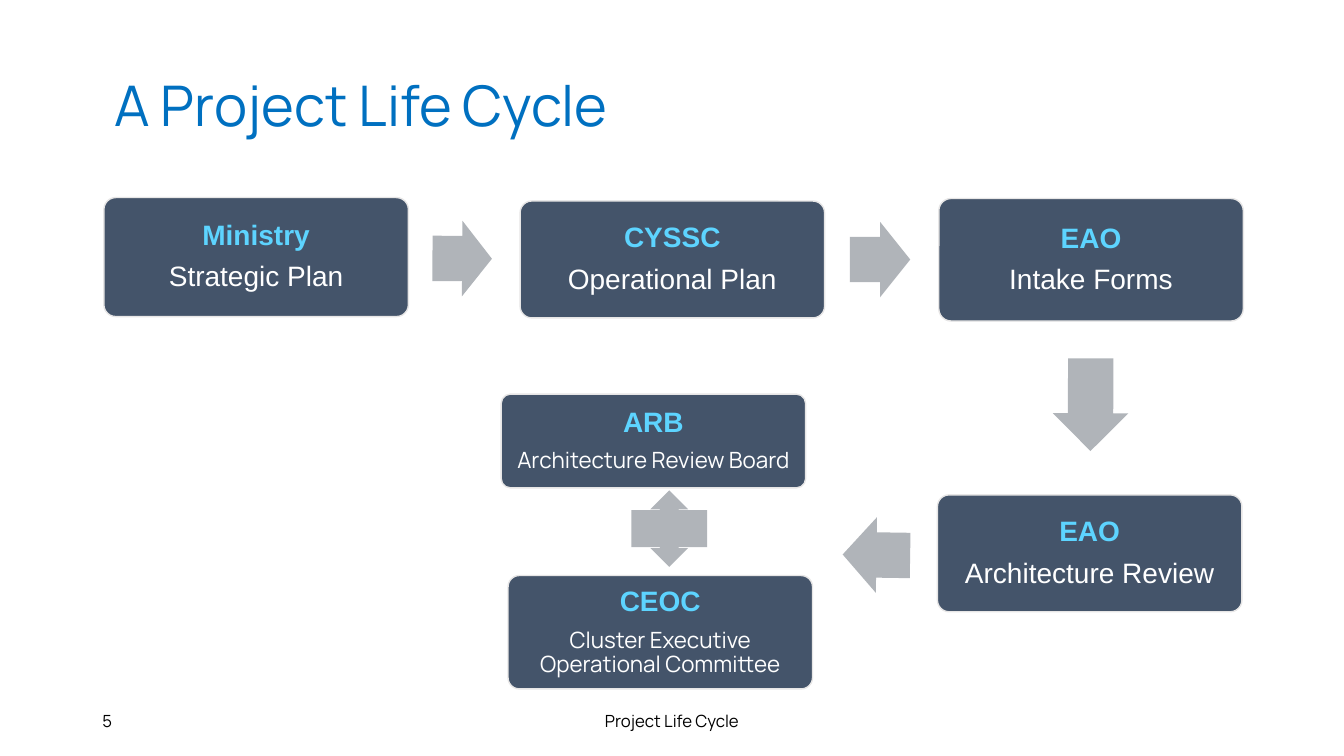
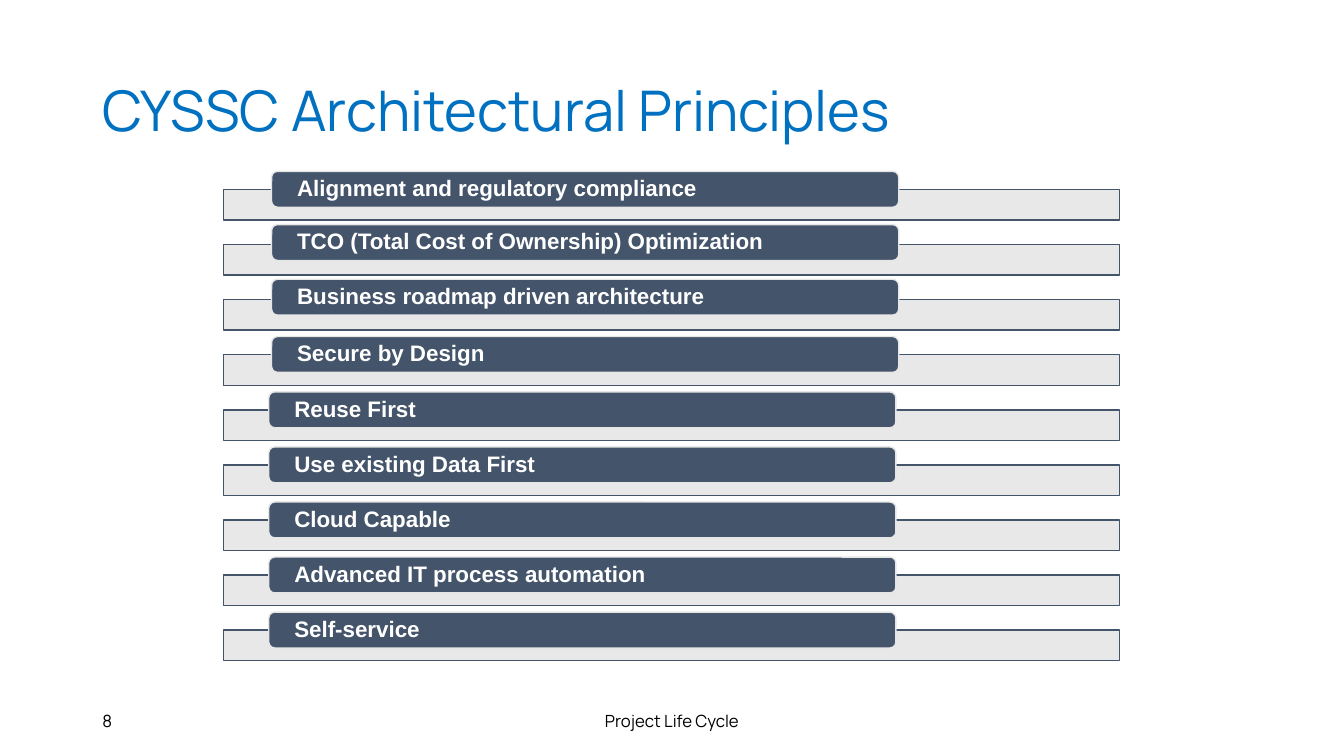
from lxml import etree
from pptx import Presentation
from pptx.dml.color import RGBColor
from pptx.enum import shapes, text
from pptx.oxml import ns
from pptx.util import Pt

# Shared style
BLUE = RGBColor(0x00, 0x70, 0xC0)
SKY = RGBColor(0x5D, 0xD4, 0xFF)
SLATE = RGBColor(0x44, 0x54, 0x6A)
PALE = RGBColor(0xE7, 0xE6, 0xE6)
GREY = RGBColor(0xB0, 0xB4, 0xB9)
WHITE = RGBColor(0xFF, 0xFF, 0xFF)
BLACK = RGBColor(0x00, 0x00, 0x00)
HEAD_FONT, BODY_FONT = "Manrope", "Arial"
SHAPE, ALIGN = shapes.MSO_SHAPE, text.PP_ALIGN

# Life cycle: left, top, height, heading, detail, detail font, detail size
BOX_WIDTH = 217.5
STAGES = [
    (74.2, 141.1, 85, "Ministry", "Strategic Plan", BODY_FONT, 20),
    (371.5, 143.6, 83.5, "CYSSC", "Operational Plan", BODY_FONT, 20),
    (670.6, 141.8, 87.5, "EAO", "Intake Forms", BODY_FONT, 20),
    (669.6, 353.5, 83.5, "EAO", "Architecture Review", BODY_FONT, 20),
    (362.9, 411.1, 81, "CEOC", "Cluster Executive Operational Committee", HEAD_FONT, 16),
    (358, 281.5, 67, "ARB", "Architecture Review Board", HEAD_FONT, 16),
]
# Left, top, width, rotation
ARROW_HEIGHT = 54
ARROWS = [
    (308.9, 157.7, 42.5, 0.4),
    (607, 158.4, 43.2, 0),
    (745.9, 262.1, 66.2, 90.2),
    (601.9, 369.4, 48.2, 180.9),
]

# Principles: label and its rise above the band
BAND_TOP, BAND_PITCH = 135.4, 39.33
PRINCIPLES = [
    ("Alignment and regulatory compliance", 13),
    ("TCO (Total Cost of Ownership) Optimization", 14.3),
    ("Business roadmap driven architecture", 14.6),
    ("Secure by Design", 13),
    ("Reuse First", 12.8),
    ("Use existing Data First", 12.8),
    ("Cloud Capable", 12.8),
    ("Advanced IT process automation", 12.8),
    ("Self-service", 12.8),
]
FIRST_GROUP = 4  # the first labels sit slightly further right


def add_run(paragraph, words, font, size, color, bold=False):
    run = paragraph.add_run()
    run.text = words
    run.font.name, run.font.size, run.font.bold = font, Pt(size), bold
    run.font.color.rgb = color


def set_frame(frame, side=7.2, vertical=3.6):
    frame.word_wrap = True
    frame.auto_size = text.MSO_AUTO_SIZE.NONE
    frame.vertical_anchor = text.MSO_ANCHOR.MIDDLE
    frame.margin_left = frame.margin_right = Pt(side)
    frame.margin_top = frame.margin_bottom = Pt(vertical)


def add_shape(slide, kind, left, top, width, height, fill, line=None):
    shape = slide.shapes.add_shape(kind, Pt(left), Pt(top), Pt(width), Pt(height))
    shape.shadow.inherit = False
    shape.fill.solid()
    shape.fill.fore_color.rgb = fill
    if line is None:
        shape.line.fill.background()
    else:
        shape.line.color.rgb = line
        shape.line.width = Pt(1)
    return shape


def add_lines(shape, alignment, lines):
    """Write one paragraph per (words, font, size, color, bold)."""
    frame = shape.text_frame
    for index, line in enumerate(lines):
        paragraph = frame.add_paragraph() if index else frame.paragraphs[0]
        paragraph.alignment = alignment
        paragraph.line_spacing = 0.9
        paragraph.space_after = Pt(line[2] * 0.4)
        add_run(paragraph, *line)


def add_footer(slide, words, left, width, alignment):
    box = slide.shapes.add_textbox(Pt(left), Pt(500.5), Pt(width), Pt(28.75))
    set_frame(box.text_frame)
    paragraph = box.text_frame.paragraphs[0]
    paragraph.alignment = alignment
    add_run(paragraph, words, HEAD_FONT, 12, BLACK)


def add_slide(presentation, title, top, number, indent=0):
    slide = presentation.slides.add_slide(presentation.slide_layouts[5])
    holder = slide.shapes.title
    holder.left, holder.top, holder.width, holder.height = Pt(66), Pt(top), Pt(828), Pt(104.4)
    set_frame(holder.text_frame)
    holder.text_frame.margin_left = Pt(7.2 + indent)
    paragraph = holder.text_frame.paragraphs[0]
    paragraph.alignment = ALIGN.LEFT
    paragraph.line_spacing = 0.9
    add_run(paragraph, title, HEAD_FONT, 40, BLUE)
    add_footer(slide, "Project Life Cycle", 318, 324, ALIGN.CENTER)
    add_footer(slide, number, 66, 216, ALIGN.LEFT)
    return slide


def add_stage(slide, left, top, height, heading, detail, font, size):
    box = add_shape(slide, SHAPE.ROUNDED_RECTANGLE, left, top, BOX_WIDTH, height, SLATE, PALE)
    box.adjustments[0] = 0.1
    set_frame(box.text_frame, 6, 6)
    add_lines(box, ALIGN.CENTER, [(heading, BODY_FONT, 20, SKY, True),
                                  (detail, font, size, WHITE, False)])


def add_arrow(slide, left, top, width, rotation):
    arrow = add_shape(slide, SHAPE.RIGHT_ARROW, left, top, width, ARROW_HEIGHT, GREY)
    arrow.adjustments[0], arrow.adjustments[1] = 0.6, 0.5
    arrow.rotation = rotation


def add_principle(slide, index, words, rise):
    top = BAND_TOP + index * BAND_PITCH
    band = add_shape(slide, SHAPE.RECTANGLE, 159.8, top, 640, 21.8, PALE, SLATE)
    color = band.fill._xPr.find(".//" + ns.qn("a:srgbClr"))
    etree.SubElement(color, ns.qn("a:alpha"), val="90000")
    left = 194 if index < FIRST_GROUP else 192
    label = add_shape(slide, SHAPE.ROUNDED_RECTANGLE, left, top - rise, 448, 25.6, SLATE, PALE)
    set_frame(label.text_frame, 17, 0)
    add_lines(label, ALIGN.LEFT, [(words, BODY_FONT, 16, WHITE, True)])


def main():
    presentation = Presentation()
    presentation.slide_width, presentation.slide_height = Pt(960), Pt(540)

    # Life cycle
    slide = add_slide(presentation, "A Project Life Cycle", 25.2, "5", indent=8.5)
    for stage in STAGES:
        add_stage(slide, *stage)
    for arrow in ARROWS:
        add_arrow(slide, *arrow)
    exchange = add_shape(slide, SHAPE.LEFT_RIGHT_ARROW_CALLOUT, 450.7, 350.6, 54.7, 54, GREY)
    exchange.rotation = 270

    # Principles
    slide = add_slide(presentation, "CYSSC Architectural Principles", 28.8, "8")
    for index, (words, rise) in enumerate(PRINCIPLES):
        add_principle(slide, index, words, rise)

    presentation.save("out.pptx")


if __name__ == "__main__":
    main()
